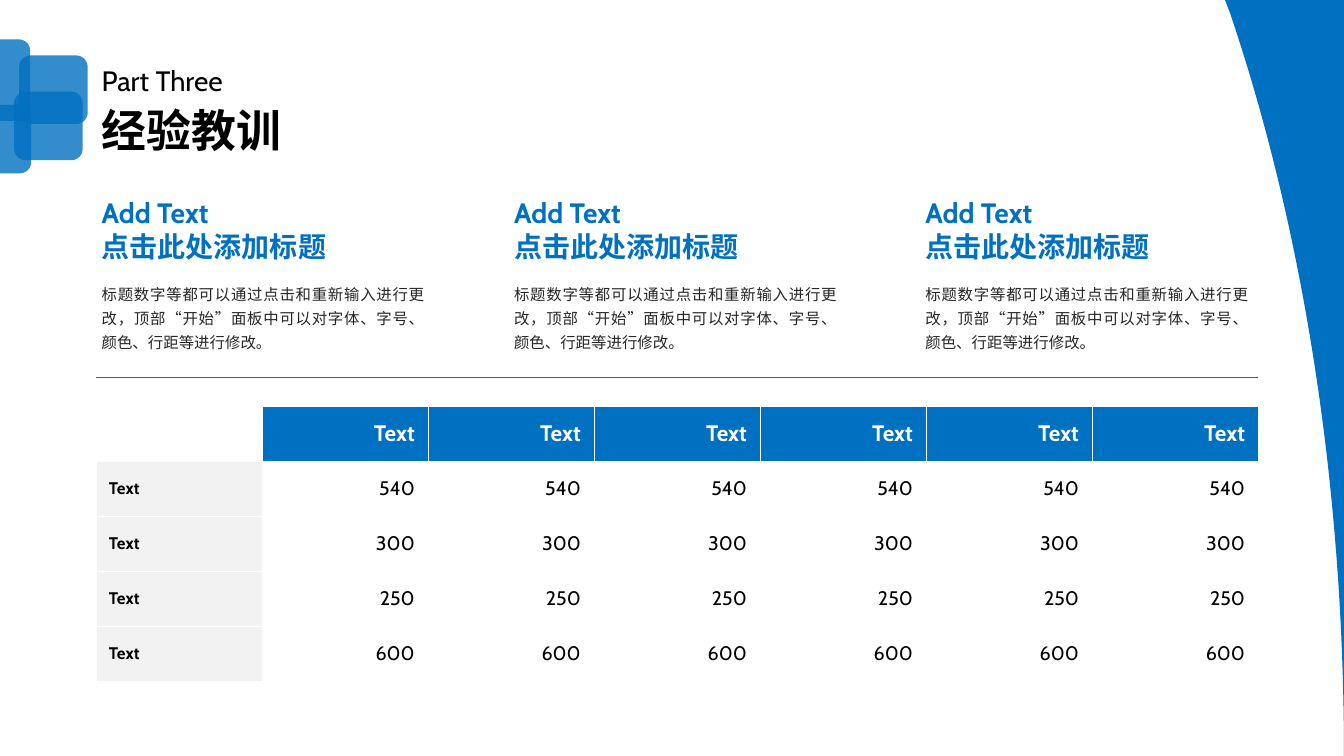
"""Build the lessons-learned slide with three text columns and a table."""
import pptx
import pptx.util
import pptx.dml.color
import pptx.enum.shapes
import pptx.enum.text
import pptx.oxml
import pptx.oxml.ns
from lxml import etree

Inches, Pt = pptx.util.Inches, pptx.util.Pt
ALIGN = pptx.enum.text.PP_ALIGN
QN = pptx.oxml.ns.qn
FONT = "Cabin"
COLORS = {"blue": "0070C0", "white": "FFFFFF", "black": "000000",
          "body": "262626", "label": "F2F2F2"}
BODY = "标题数字等都可以通过点击和重新输入进行更改，顶部“开始”面板中可以对字体、字号、颜色、行距等进行修改。"
ROW_VALUES = ["540", "300", "250", "600"]
VALUE_COLUMNS = 6
TILES = [(-0.38, 0.39, 0.68, 0.81), (0.19, 0.55, 0.68, 0.68),
         (0.14, 0.91, 0.68, 0.68), (-0.37, 1.04, 0.68, 0.68)]
CURVE = [(13.33, 7.5), (13.33, 4.77), (12.91, 2.23), (12.2, 0.13)]


def rgb(name):
    return pptx.dml.color.RGBColor.from_string(COLORS[name])


def paint(sp, color, alpha=None):
    sp.shadow.inherit = False
    sp.fill.solid()
    sp.fill.fore_color.rgb = rgb(color)
    sp.line.fill.background()
    if alpha is not None:
        clr = sp.fill._xPr.find(".//" + QN("a:srgbClr"))
        etree.SubElement(clr, QN("a:alpha")).set("val", str(alpha * 1000))


def add_run(p, text, size, color, bold=False):
    r = p.add_run()
    r.text = text
    r.font.name = FONT
    r.font.size = Pt(size)
    r.font.bold = bold
    r.font.color.rgb = rgb(color)


def add_text(s, box, lines, size, color, bold=False, wrap=True,
             align=None, spacing=None, before=None):
    tf = s.shapes.add_textbox(*map(Inches, box)).text_frame
    tf.word_wrap = wrap
    tf.auto_size = pptx.enum.text.MSO_AUTO_SIZE.SHAPE_TO_FIT_TEXT
    for i, line in enumerate(lines):
        p = tf.add_paragraph() if i else tf.paragraphs[0]
        p.alignment = align
        p.line_spacing = spacing
        p.space_before = before
        add_run(p, line, size, color, bold)


def add_tile(s, box):
    kind = pptx.enum.shapes.MSO_SHAPE.ROUNDED_RECTANGLE
    paint(s.shapes.add_shape(kind, *map(Inches, box)), "blue", 80)


def curve_point(t):
    weights = [(1 - t) ** 3, 3 * t * (1 - t) ** 2, 3 * t * t * (1 - t), t ** 3]
    return tuple(Inches(sum(w * c[axis] for w, c in zip(weights, CURVE)))
                 for axis in (0, 1))


def add_side_curve(s, steps=60):
    builder = s.shapes.build_freeform(Inches(12.15), 0)
    points = [(Inches(13.33), 0)] + [curve_point(i / steps) for i in range(steps + 1)]
    builder.add_line_segments(points, close=True)
    paint(builder.convert_to_shape(), "blue")


def add_rule(s, left, right, y):
    line = s.shapes.add_connector(pptx.enum.shapes.MSO_CONNECTOR.STRAIGHT,
                                  Inches(left), Inches(y), Inches(right), Inches(y))
    line.line.color.rgb = rgb("blue")
    line.line.width = Pt(0.5)
    etree.SubElement(line._element.spPr, QN("a:effectLst"))


def style_cell(cell, fill):
    tc_pr = cell._tc.get_or_add_tcPr()
    for side in ("lnL", "lnR", "lnT", "lnB"):
        ln = etree.SubElement(tc_pr, QN("a:" + side), w=str(Pt(0.25)))
        solid = etree.SubElement(ln, QN("a:solidFill"))
        etree.SubElement(solid, QN("a:srgbClr"), val=COLORS["white"])
    if fill:
        cell.fill.solid()
        cell.fill.fore_color.rgb = rgb(fill)
    else:
        cell.fill.background()
    cell.vertical_anchor = pptx.enum.text.MSO_ANCHOR.MIDDLE
    cell.margin_left = cell.margin_right = Inches(0.13)
    cell.margin_top = cell.margin_bottom = Inches(0.07)


def add_value_table(s):
    rows = [[""] + ["Text"] * VALUE_COLUMNS]
    rows += [["Text"] + [value] * VALUE_COLUMNS for value in ROW_VALUES]
    table = s.shapes.add_table(len(rows), VALUE_COLUMNS + 1, Inches(0.95), Inches(4.03),
                               Inches(11.53), Inches(2.73)).table
    table.first_row = table.horz_banding = False
    for i, row in enumerate(rows):
        for j, text in enumerate(row):
            if j == 0:
                fill, size, color, bold = "label" if i else None, 12, "black", True
            elif i == 0:
                fill, size, color, bold = "blue", 16, "white", True
            else:
                fill, size, color, bold = None, 14, "black", False
            cell = table.cell(i, j)
            style_cell(cell, fill)
            if text:
                p = cell.text_frame.paragraphs[0]
                p.alignment = ALIGN.RIGHT if j else ALIGN.LEFT
                add_run(p, text, size, color, bold)


def add_column(s, left):
    add_text(s, (left, 1.89, 2.45, 0.77), ["Add Text", "点击此处添加标题"],
             20, "blue", bold=True, wrap=False)
    add_text(s, (left, 2.72, 3.4, 0.82), [BODY], 11, "body",
             align=ALIGN.JUSTIFY, spacing=1.3)


def main():
    prs = pptx.Presentation()
    prs.slide_width, prs.slide_height = Inches(13.33), Inches(7.5)
    s = prs.slides.add_slide(prs.slide_layouts[6])
    for box in TILES:
        add_tile(s, box)
    add_side_curve(s)
    add_text(s, (0.91, 1.03, 3.25, 0.59), ["经验教训"], 32, "black",
             bold=True, spacing=0.9, before=Pt(10))
    add_text(s, (0.91, 0.62, 3.25, 0.4), ["Part Three"], 20, "black",
             spacing=0.9, before=Pt(10))
    add_value_table(s)
    for left in (0.91, 5, 9.08):
        add_column(s, left)
    add_rule(s, 0.95, 12.48, 3.74)
    prs.save("out.pptx")


if __name__ == "__main__":
    main()
